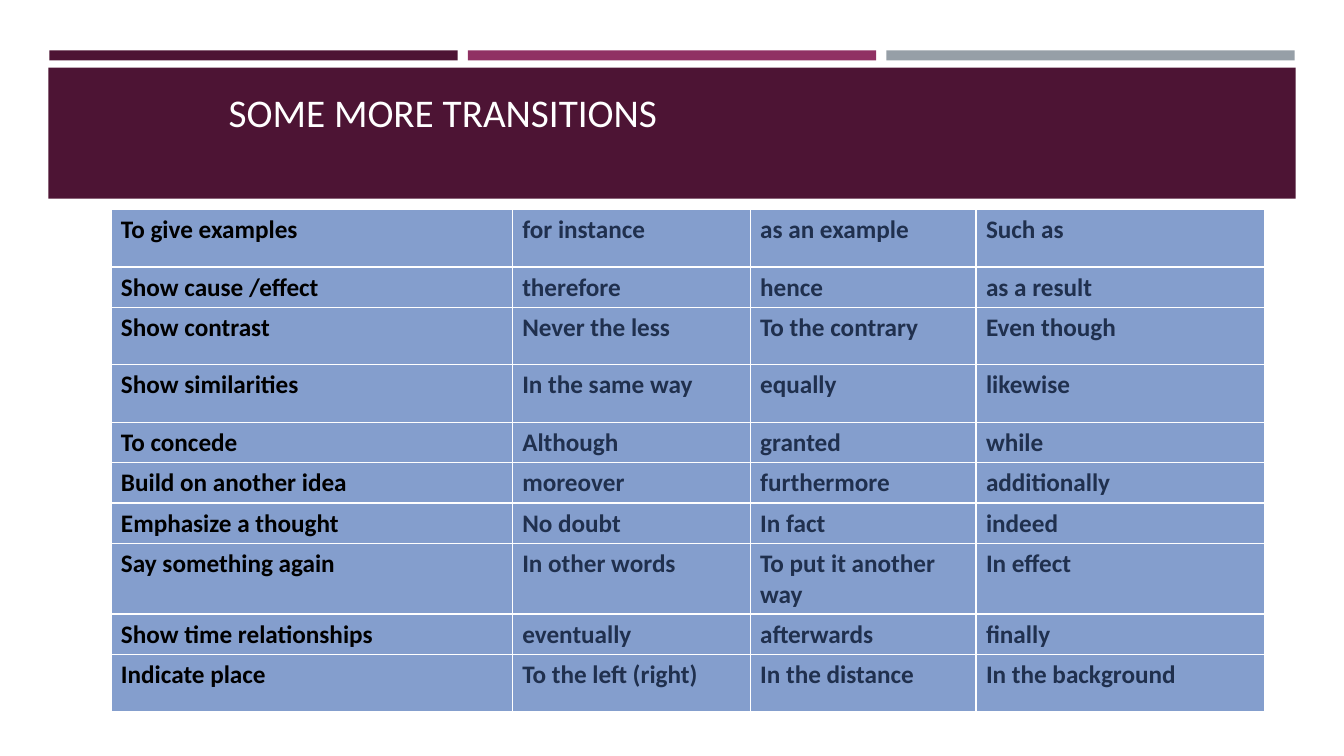
from dataclasses import dataclass

from lxml import etree
from pptx import Presentation
from pptx.dml.color import RGBColor
from pptx.enum import shapes, text
from pptx.oxml import ns
from pptx.util import Inches, Pt


@dataclass(frozen=True)
class Theme:
    font: str = "Calibri"
    title_size: int = 28
    cell_size: int = 18
    plum: str = "4D1434"
    magenta: str = "903163"
    grey: str = "969FA7"
    white: str = "FFFFFF"
    cell_fill: str = "849ECD"
    purpose: str = "000000"
    phrase: str = "20304E"


THEME = Theme()

COLUMN_WIDTHS = (3.98, 2.36, 2.24, 2.86)
SHORT, TALL, WRAPPED = 0.37, 0.57, 0.64
TRANSITIONS = (
    (TALL, "To give examples", "for instance", "as an example", "Such as"),
    (SHORT, "Show cause /effect", "therefore", "hence", "as a result"),
    (TALL, "Show contrast", "Never the less", "To the contrary", "Even though"),
    (TALL, "Show similarities", "In the same way", "equally", "likewise"),
    (SHORT, "To concede", "Although", "granted", "while"),
    (SHORT, "Build on another idea", "moreover", "furthermore", "additionally"),
    (SHORT, "Emphasize a thought", "No doubt", "In fact", "indeed"),
    (WRAPPED, "Say something again", "In other words", "To put it another way", "In effect"),
    (SHORT, "Show time relationships", "eventually", "afterwards", "finally"),
    (TALL, "Indicate place", "To the left (right)", "In the distance", "In the background"),
)


def style(paragraph, size, color, bold=False):
    font = paragraph.font
    font.name, font.size, font.bold = THEME.font, Pt(size), bold
    font.color.rgb = RGBColor.from_string(color)


def add_band(slide, left, top, width, height, color):
    band = slide.shapes.add_shape(
        shapes.MSO_SHAPE.RECTANGLE, Inches(left), Inches(top), Inches(width), Inches(height)
    )
    band.shadow.inherit = False
    band.fill.solid()
    band.fill.fore_color.rgb = RGBColor.from_string(color)
    band.line.fill.background()


def add_title(slide, wording):
    title = slide.shapes.add_textbox(Inches(2.17), Inches(0.14), Inches(9), Inches(1.25))
    frame = title.text_frame
    frame.word_wrap = True
    frame.vertical_anchor = text.MSO_ANCHOR.BOTTOM
    frame.text = wording
    style(frame.paragraphs[0], THEME.title_size, THEME.white)


def set_borders(cell, color):
    """Draw a one-point line on all four sides; borders must precede the fill."""
    properties = cell._tc.get_or_add_tcPr()
    for position, side in enumerate(("a:lnL", "a:lnR", "a:lnT", "a:lnB")):
        line = etree.Element(ns.qn(side), w=str(Pt(1)))
        fill = etree.SubElement(line, ns.qn("a:solidFill"))
        etree.SubElement(fill, ns.qn("a:srgbClr"), val=color)
        properties.insert(position, line)


def fill_cell(cell, wording, color):
    cell.text = wording
    style(cell.text_frame.paragraphs[0], THEME.cell_size, color, bold=True)
    cell.fill.solid()
    cell.fill.fore_color.rgb = RGBColor.from_string(THEME.cell_fill)
    set_borders(cell, THEME.white)


def add_transitions(slide):
    height = sum(row[0] for row in TRANSITIONS)
    table = slide.shapes.add_table(
        len(TRANSITIONS), len(COLUMN_WIDTHS),
        Inches(1.1), Inches(2.08), Inches(sum(COLUMN_WIDTHS)), Inches(height),
    ).table
    for column, width in zip(table.columns, COLUMN_WIDTHS):
        column.width = Inches(width)
    for row, (row_height, *wordings) in zip(table.rows, TRANSITIONS):
        row.height = Inches(row_height)
        for index, (cell, wording) in enumerate(zip(row.cells, wordings)):
            fill_cell(cell, wording, THEME.phrase if index else THEME.purpose)


def main():
    deck = Presentation()
    deck.slide_width, deck.slide_height = Inches(13.33), Inches(7.5)
    slide = deck.slides.add_slide(deck.slide_layouts[6])

    for index, color in enumerate((THEME.plum, THEME.magenta, THEME.grey)):
        add_band(slide, 0.49 + 4.15 * index, 0.5, 4.05, 0.1, color)
    add_band(slide, 0.48, 0.67, 12.37, 1.3, THEME.plum)
    add_title(slide, "SOME MORE TRANSITIONS")
    add_transitions(slide)

    deck.save("out.pptx")


if __name__ == "__main__":
    main()
